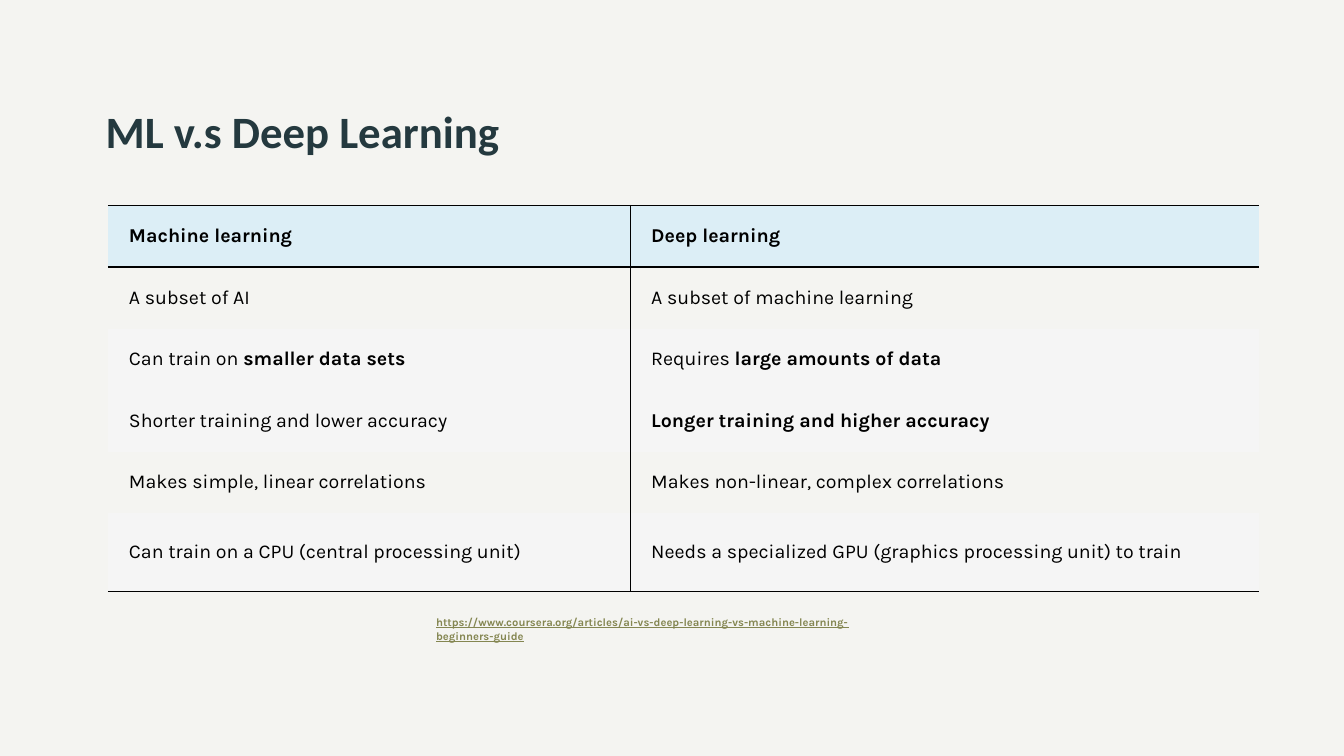
from dataclasses import dataclass

from lxml.etree import SubElement
from pptx import Presentation
from pptx.dml.color import RGBColor
from pptx.enum.text import MSO_ANCHOR, MSO_AUTO_SIZE, PP_ALIGN
from pptx.oxml.ns import qn
from pptx.slide import Slide
from pptx.table import _Cell
from pptx.util import Cm, Pt

BACKGROUND = RGBColor(0xF4, 0xF4, 0xF1)
TITLE_COLOR = RGBColor(0x24, 0x39, 0x3F)
HEADER_FILL = RGBColor(0xDC, 0xEE, 0xF6)
BAND_FILL = RGBColor(0xF5, 0xF5, 0xF5)
LINK_COLOR = RGBColor(0x84, 0x86, 0x51)
BLACK = RGBColor(0, 0, 0)

COLUMN_WIDTHS = (Cm(13.16), Cm(15.85))
ROW_HEIGHT = Cm(1.55)
LAST_ROW_HEIGHT = Cm(1.98)
SOURCE_LINK = "https://www.coursera.org/articles/ai-vs-deep-learning-vs-machine-learning-beginners-guide"


@dataclass(frozen=True)
class Entry:
    regular: str = ""
    bold: str = ""


@dataclass(frozen=True)
class ComparisonRow:
    machine_learning: Entry
    deep_learning: Entry
    fill: RGBColor | None = None


ROWS = (
    ComparisonRow(Entry(bold="Machine learning"), Entry(bold="Deep learning"), HEADER_FILL),
    ComparisonRow(Entry("A subset of AI"), Entry("A subset of machine learning")),
    ComparisonRow(
        Entry("Can train on ", "smaller data sets"),
        Entry("Requires ", "large amounts of data"),
        BAND_FILL,
    ),
    ComparisonRow(
        Entry("Shorter training and lower accuracy"),
        Entry(bold="Longer training and higher accuracy"),
        BAND_FILL,
    ),
    ComparisonRow(
        Entry("Makes simple, linear correlations"),
        Entry("Makes non-linear, complex correlations"),
    ),
    ComparisonRow(
        Entry("Can train on a CPU (central processing unit)"),
        Entry("Needs a specialized GPU (graphics processing unit) to train"),
        BAND_FILL,
    ),
)


def set_borders(cell: _Cell, visible_sides: set[str]) -> None:
    properties = cell._tc.get_or_add_tcPr()
    for side in "LRTB":
        line = SubElement(properties, qn(f"a:ln{side}"), w=str(Pt(1)))
        if side in visible_sides:
            fill = SubElement(line, qn("a:solidFill"))
            SubElement(fill, qn("a:srgbClr"), val=str(BLACK))
        else:
            SubElement(line, qn("a:noFill"))


def write_cell(cell: _Cell, entry: Entry, fill: RGBColor | None) -> None:
    if fill is None:
        cell.fill.background()
    else:
        cell.fill.solid()
        cell.fill.fore_color.rgb = fill
    cell.margin_left = cell.margin_right = Cm(0.53)
    cell.vertical_anchor = MSO_ANCHOR.MIDDLE
    paragraph = cell.text_frame.paragraphs[0]
    paragraph.font.name = "Karla"
    paragraph.font.size = Pt(14)
    paragraph.font.color.rgb = BLACK
    for text, bold in ((entry.regular, False), (entry.bold, True)):
        if text:
            run = paragraph.add_run()
            run.text = text
            run.font.name = "Karla"
            run.font.size = Pt(14)
            run.font.color.rgb = BLACK
            run.font.bold = bold


def add_title(slide: Slide) -> None:
    title = slide.shapes.title
    title.left, title.top, title.width, title.height = Cm(2.41), Cm(1.63), Cm(29.03), Cm(2.46)
    title.text_frame.text = "ML v.s Deep Learning"
    title.text_frame.vertical_anchor = MSO_ANCHOR.BOTTOM
    paragraph = title.text_frame.paragraphs[0]
    paragraph.alignment = PP_ALIGN.LEFT
    paragraph.font.name = "Calibri"
    paragraph.font.size = Pt(32)
    paragraph.font.bold = True
    paragraph.font.color.rgb = TITLE_COLOR


def add_comparison(slide: Slide) -> None:
    height = ROW_HEIGHT * (len(ROWS) - 1) + LAST_ROW_HEIGHT
    table = slide.shapes.add_table(
        len(ROWS), 2, Cm(2.72), Cm(5.18), sum(COLUMN_WIDTHS), height
    ).table
    table.first_row = table.horz_banding = False
    for column, width in zip(table.columns, COLUMN_WIDTHS):
        column.width = width
    last = len(ROWS) - 1
    for index, row in enumerate(ROWS):
        table.rows[index].height = LAST_ROW_HEIGHT if index == last else ROW_HEIGHT
        horizontal = set()
        if index in (0, 1):
            horizontal.add("T")
        if index in (0, last):
            horizontal.add("B")
        entries = (row.machine_learning, row.deep_learning)
        for column_index, (entry, divider) in enumerate(zip(entries, "RL")):
            cell = table.cell(index, column_index)
            set_borders(cell, horizontal | {divider})
            write_cell(cell, entry, row.fill)


def add_source(slide: Slide) -> None:
    box = slide.shapes.add_textbox(Cm(8.2), Cm(15.39), Cm(14.22), Cm(0.61))
    frame = box.text_frame
    frame.word_wrap = True
    frame.auto_size = MSO_AUTO_SIZE.SHAPE_TO_FIT_TEXT
    frame.text = SOURCE_LINK
    paragraph = frame.paragraphs[0]
    paragraph.level = 2
    paragraph._p.get_or_add_pPr().set("marL", str(Cm(2.54)))
    paragraph.font.name = "Karla"
    paragraph.font.size = Pt(8)
    paragraph.font.bold = True
    paragraph.font.underline = True
    paragraph.font.color.rgb = LINK_COLOR


def main() -> None:
    presentation = Presentation()
    presentation.slide_width, presentation.slide_height = Cm(33.87), Cm(19.05)
    slide = presentation.slides.add_slide(presentation.slide_layouts[5])
    slide.background.fill.solid()
    slide.background.fill.fore_color.rgb = BACKGROUND
    add_title(slide)
    add_comparison(slide)
    add_source(slide)
    presentation.save("out.pptx")


if __name__ == "__main__":
    main()
